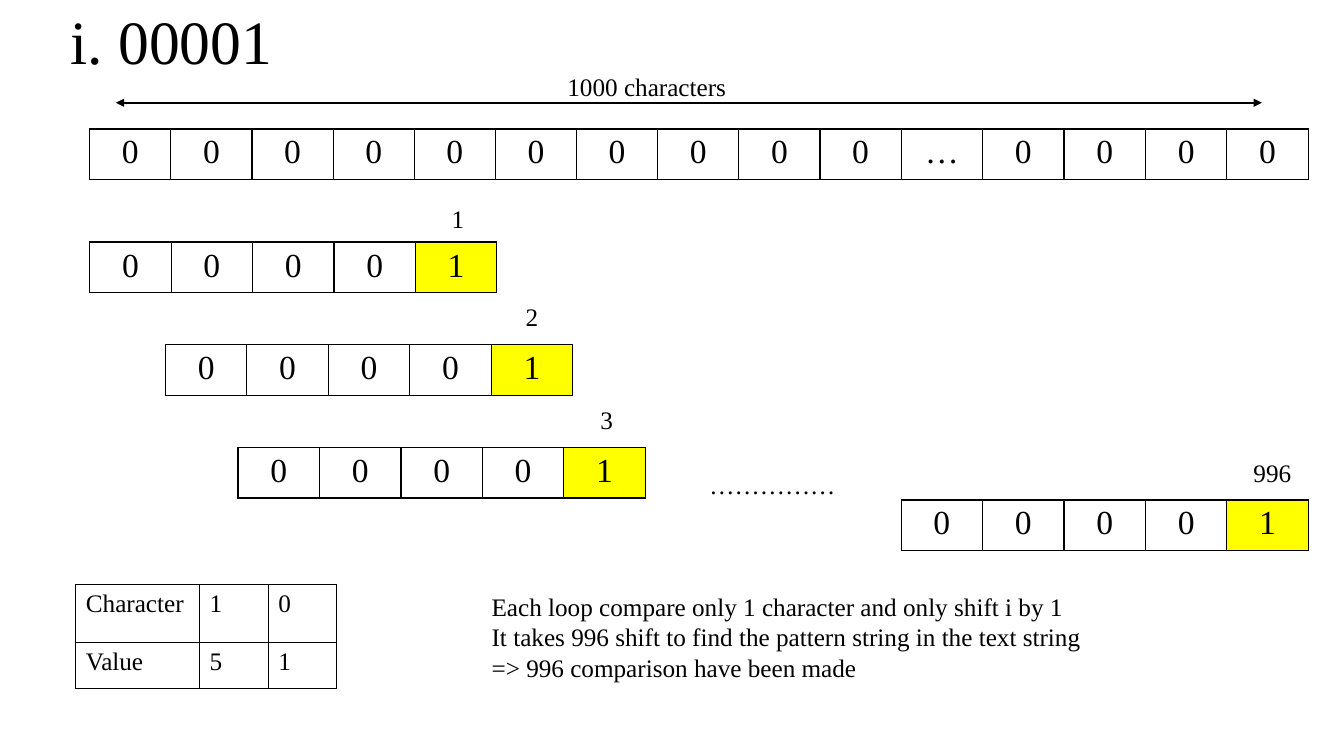
from dataclasses import dataclass
from pptx import Presentation
from pptx.dml.color import RGBColor
from pptx.enum.shapes import MSO_CONNECTOR
from pptx.enum.text import MSO_ANCHOR, MSO_AUTO_SIZE, PP_ALIGN
from pptx.oxml.ns import qn
from pptx.util import Cm, Pt
from lxml.etree import SubElement


@dataclass(frozen=True)
class Theme:
    font: str = "Times New Roman"
    ink: RGBColor = RGBColor(0, 0, 0)
    paper: RGBColor = RGBColor(255, 255, 255)
    mark: RGBColor = RGBColor(255, 255, 0)
    title: int = 44
    cell: int = 24
    note: int = 18
    border: int = 1
    arrow: float = 1.5


class Board:
    def __init__(self, slide, theme):
        self.slide = slide
        self.theme = theme

    def style(self, frame, size, align=PP_ALIGN.LEFT):
        for para in frame.paragraphs:
            para.alignment = align
            for run in para.runs:
                run.font.name = self.theme.font
                run.font.size = Pt(size)
                run.font.bold = False
                run.font.color.rgb = self.theme.ink

    def title(self, text, left, top, width, height):
        shape = self.slide.shapes.title
        shape.left, shape.top = Cm(left), Cm(top)
        shape.width, shape.height = Cm(width), Cm(height)
        frame = shape.text_frame
        frame.text = text
        frame.auto_size = MSO_AUTO_SIZE.NONE
        frame.vertical_anchor = MSO_ANCHOR.MIDDLE
        frame.paragraphs[0].line_spacing = 0.9
        self.style(frame, self.theme.title)

    def text(self, text, left, top, width, height=1.02):
        box = self.slide.shapes.add_textbox(Cm(left), Cm(top), Cm(width), Cm(height))
        frame = box.text_frame
        frame.word_wrap = True
        frame.auto_size = MSO_AUTO_SIZE.SHAPE_TO_FIT_TEXT
        frame.text = text
        self.style(frame, self.theme.note)

    def edge(self, cell):
        props = cell._tc.get_or_add_tcPr()
        for side in ("a:lnL", "a:lnR", "a:lnT", "a:lnB"):
            line = SubElement(props, qn(side), w=str(Pt(self.theme.border)))
            fill = SubElement(line, qn("a:solidFill"))
            SubElement(fill, qn("a:srgbClr"), val=str(self.theme.ink))

    def table(self, rows, left, top, widths, heights, size, align, marked=False):
        frame = self.slide.shapes.add_table(
            len(rows), len(widths), Cm(left), Cm(top),
            Cm(sum(widths)), Cm(sum(heights)))
        grid = frame.table
        grid.first_row = grid.horz_banding = False
        for col, width in zip(grid.columns, widths):
            col.width = Cm(width)
        for row, height, words in zip(grid.rows, heights, rows):
            row.height = Cm(height)
            for cell, word in zip(row.cells, words):
                self.edge(cell)
                cell.fill.solid()
                lit = marked and word == "1"
                cell.fill.fore_color.rgb = self.theme.mark if lit else self.theme.paper
                cell.text_frame.text = word
                self.style(cell.text_frame, size, align)

    def strip(self, chars, left, top, width):
        widths = [width / len(chars)] * len(chars)
        self.table([chars], left, top, widths, [1.27],
                   self.theme.cell, PP_ALIGN.CENTER, marked=True)

    def arrow(self, start, end, top):
        link = self.slide.shapes.add_connector(
            MSO_CONNECTOR.STRAIGHT, Cm(start), Cm(top), Cm(end), Cm(top))
        link.line.color.rgb = self.theme.ink
        link.line.width = Pt(self.theme.arrow)
        line = link.line._get_or_add_ln()
        for end_tag in ("a:headEnd", "a:tailEnd"):
            SubElement(line, qn(end_tag), type="triangle")
        SubElement(link._element.spPr, qn("a:effectLst"))


def main():
    deck = Presentation()
    deck.slide_width, deck.slide_height = Cm(33.87), Cm(19.05)
    theme = Theme()
    board = Board(deck.slides.add_slide(deck.slide_layouts[5]), theme)

    board.title("i. 00001", 1.52, 0, 26.21, 2.26)
    board.strip("0" * 10, 2.26, 3.25, 20.45)
    board.strip("…0000", 22.71, 3.25, 10.26)
    board.arrow(2.92, 31.8, 2.59)
    board.text("1000 characters", 14.05, 1.68, 6.53)

    shifts = [
        ("1", 2.26, 6.1, 11.13, 5, 0.61),
        ("2", 4.17, 8.69, 13, 7.47, 0.61),
        ("3", 6, 11.28, 14.88, 10.06, 0.61),
        ("996", 22.71, 12.6, 31.34, 11.4, 1.85),
    ]
    for count, left, top, label, above, width in shifts:
        board.strip("00001", left, top, 10.26)
        board.text(count, label, above, width)
    board.text("……………", 17.63, 11.71, 4.62)

    board.table([["Character", "1", "0"], ["Value", "5", "1"]],
                1.91, 14.73, [3.12, 1.73, 1.73], [1.47, 1.14],
                theme.note, PP_ALIGN.LEFT)
    board.text("Each loop compare only 1 character and only shift i by 1\n"
               "It takes 996 shift to find the pattern string in the text string\n"
               "=> 996 comparison have been made", 12.14, 14.78, 18.82, 2.57)

    deck.save("out.pptx")


if __name__ == "__main__":
    main()
